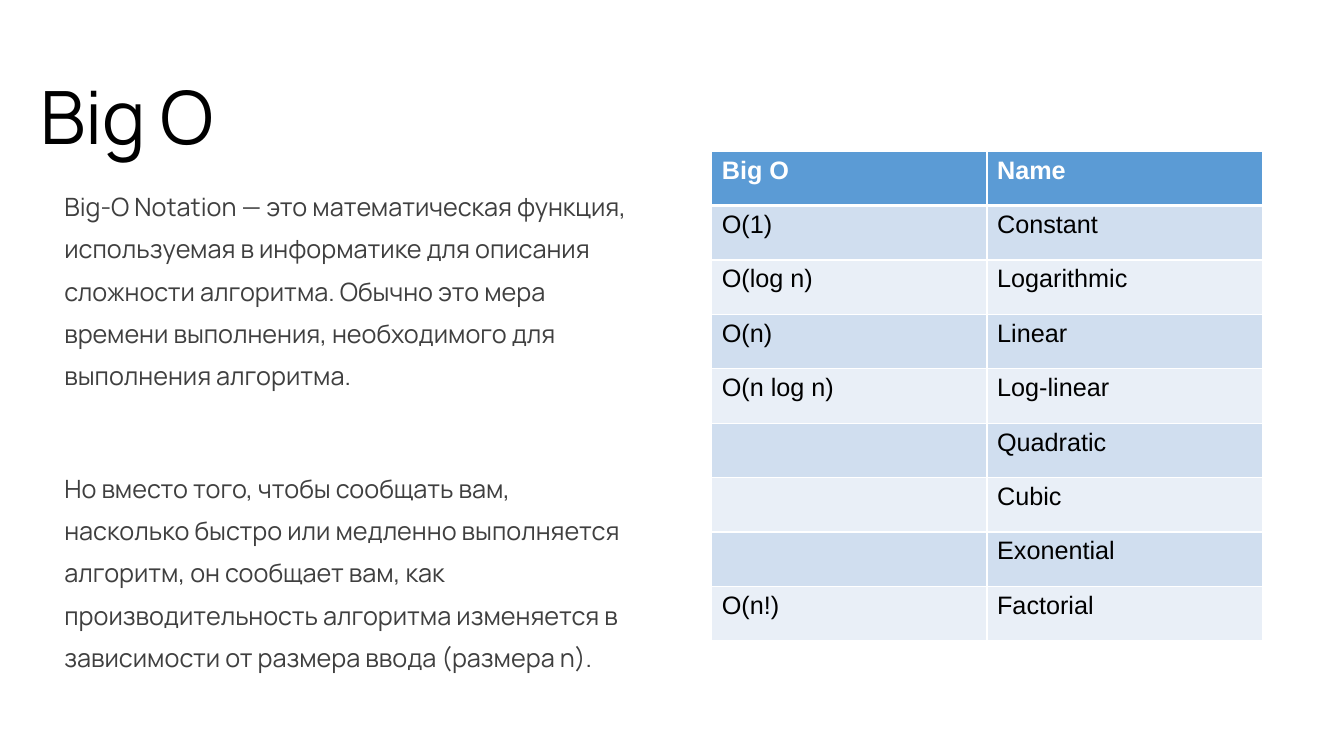
"""Build the Big O notation slide with its explanation and complexity table."""
from dataclasses import dataclass

from lxml import etree
from pptx import Presentation
from pptx import util as u
from pptx.dml.color import RGBColor
from pptx.enum import text
from pptx.oxml.ns import qn

TITLE = "Big O"
EXPLANATION = [
    "Big-O Notation — это математическая функция, используемая в информатике для описания "
    "сложности алгоритма. Обычно это мера времени выполнения, необходимого для выполнения алгоритма.",
    "Но вместо того, чтобы сообщать вам, насколько быстро или медленно выполняется алгоритм, "
    "он сообщает вам, как производительность алгоритма изменяется в зависимости от размера ввода (размера n).",
]
COMPLEXITIES = [
    ("Big O", "Name"),
    ("O(1)", "Constant"),
    ("O(log n)", "Logarithmic"),
    ("O(n)", "Linear"),
    ("O(n log n)", "Log-linear"),
    ("", "Quadratic"),
    ("", "Cubic"),
    ("", "Exonential"),
    ("O(n!)", "Factorial"),
]


@dataclass(frozen=True)
class Theme:
    """Fonts, type sizes and colours."""
    text_font: str = "Manrope"
    table_font: str = "Arial"
    title_size: float = 52.5
    text_size: float = 18
    black: str = "000000"
    grey: str = "3F3F3F"
    white: str = "FFFFFF"
    header: str = "5B9BD5"
    bands: tuple = ("E9EFF7", "D0DEEF")


THEME = Theme()


def add_span(para, words, font, size, color, bold=False):
    """Add one formatted run to a paragraph."""
    span = para.add_run()
    span.text = words
    span.font.name = font
    span.font.size = u.Pt(size)
    span.font.bold = bold
    span.font.color.rgb = RGBColor.from_string(color)


def add_text(page, place, paragraphs, size, color, spacing, gap=0, insets=(0, 0)):
    """Add a wrapped text box with evenly separated paragraphs."""
    box = page.shapes.add_textbox(*map(u.Inches, place))
    frame = box.text_frame
    frame.word_wrap = True
    frame.auto_size = text.MSO_AUTO_SIZE.NONE
    frame.margin_left = frame.margin_right = u.Inches(insets[0])
    frame.margin_top = frame.margin_bottom = u.Inches(insets[1])
    for index, words in enumerate(paragraphs):
        para = frame.add_paragraph() if index else frame.paragraphs[0]
        para.line_spacing = spacing
        if index:
            para.space_before = u.Pt(gap)
        add_span(para, words, THEME.text_font, size, color)


def set_borders(cell, widths):
    """Draw white borders of the given widths on a cell."""
    props = cell._tc.get_or_add_tcPr()
    for index, (side, width) in enumerate(widths.items()):
        line = etree.Element(qn(f"a:{side}"), w=str(u.Pt(width)))
        fill = etree.SubElement(line, qn("a:solidFill"))
        etree.SubElement(fill, qn("a:srgbClr"), val=THEME.white)
        props.insert(index, line)


def add_complexities(page, left, top, column_width, row_height):
    """Add the banded table of complexity classes."""
    rows, columns = len(COMPLEXITIES), len(COMPLEXITIES[0])
    table = page.shapes.add_table(
        rows, columns, u.Inches(left), u.Inches(top),
        u.Inches(columns * column_width), u.Inches(rows * row_height)).table
    for row, values in enumerate(COMPLEXITIES):
        is_header = row == 0
        color = THEME.white if is_header else THEME.black
        shade = THEME.header if is_header else THEME.bands[row % 2]
        widths = {"lnL": 1, "lnR": 1, "lnT": 3 if row == 1 else 1, "lnB": 3 if is_header else 1}
        for column, words in enumerate(values):
            cell = table.cell(row, column)
            cell.fill.solid()
            cell.fill.fore_color.rgb = RGBColor.from_string(shade)
            set_borders(cell, widths)
            if words:
                add_span(cell.text_frame.paragraphs[0], words, THEME.table_font,
                         THEME.text_size, color, is_header)


def main():
    """Lay out the slide and save it."""
    deck = Presentation()
    deck.slide_width, deck.slide_height = u.Inches(13.33), u.Inches(7.5)
    page = deck.slides.add_slide(deck.slide_layouts[6])
    add_text(page, (0.54, 1.73, 5.83, 5.02), EXPLANATION, THEME.text_size, THEME.grey,
             spacing=1.4, gap=50, insets=(0.1, 0.05))
    add_complexities(page, 7.06, 1.5, column_width=2.73, row_height=0.54)
    add_text(page, (0.4, 0.56, 7.39, 0.86), [TITLE], THEME.title_size, THEME.black, spacing=1.17)
    deck.save("out.pptx")


if __name__ == "__main__":
    main()
